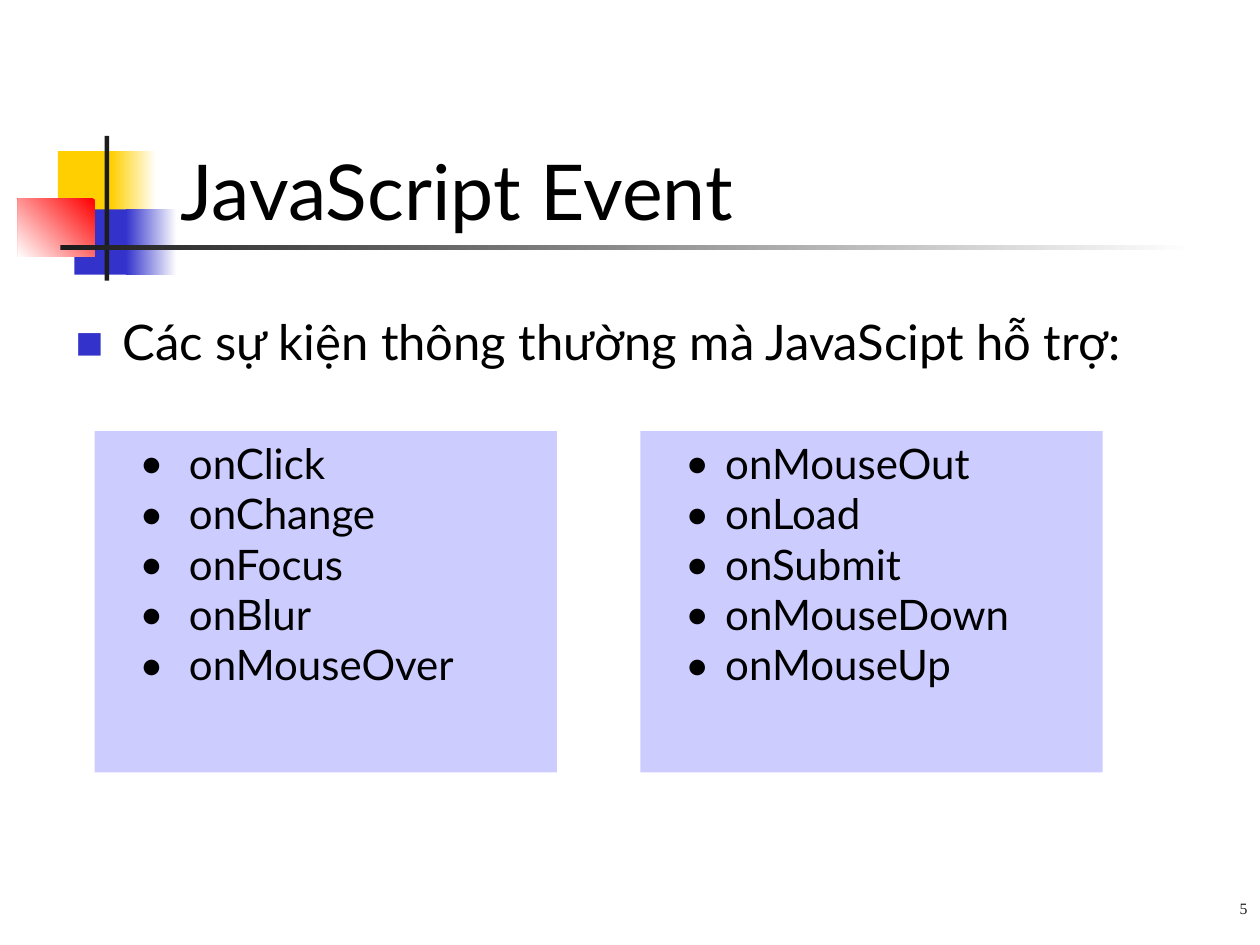
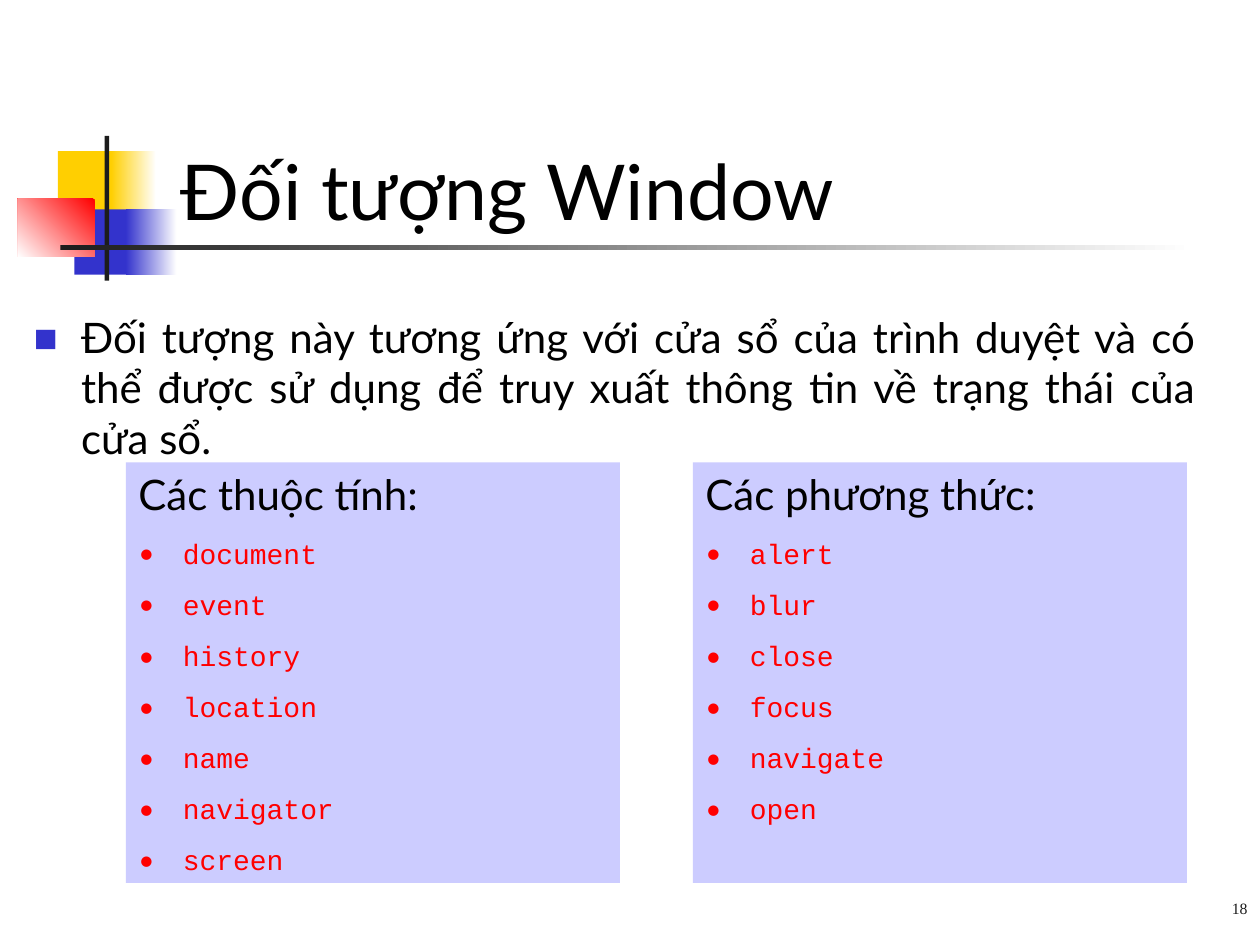
from pptx import Presentation
from pptx.dml.color import RGBColor
from pptx.enum.shapes import MSO_SHAPE
from pptx.enum.text import MSO_ANCHOR, MSO_AUTO_SIZE, PP_ALIGN
from pptx.oxml.ns import qn
from pptx.util import Cm, Pt
from lxml.etree import SubElement

BLACK, DARK, WHITE = "000000", "1C1C1C", "FFFFFF"
YELLOW, BLUE, RED, LAVENDER = "FFCF01", "3333CC", "FF0000", "CCCCFF"
SANS, MONO, SERIF = "Lato", "Courier New", "Times New Roman"


def rgb(color):
    """Turn a hex string into a colour."""
    return RGBColor.from_string(color)


def place(sp, box):
    """Move a shape to a box of left, top, width and height in cm."""
    sp.left, sp.top, sp.width, sp.height = map(Cm, box)


def add_rect(s, box, color, fade=False, angle=0):
    """Add a borderless rectangle, plain or fading to white."""
    sp = s.shapes.add_shape(MSO_SHAPE.RECTANGLE, *map(Cm, box))
    sp.shadow.inherit = False
    sp.line.fill.background()
    if fade:
        sp.fill.gradient()
        sp.fill.gradient_angle = angle
        for stop, shade in zip(sp.fill.gradient_stops, (color, WHITE)):
            stop.color.rgb = rgb(shade)
    else:
        sp.fill.solid()
        sp.fill.fore_color.rgb = rgb(color)
    return sp


def frame(sp, anchor=MSO_ANCHOR.TOP):
    """Prepare the text frame of a shape."""
    tf = sp.text_frame
    tf.word_wrap = True
    tf.auto_size = MSO_AUTO_SIZE.NONE
    tf.vertical_anchor = anchor
    return tf


def set_bullet(p, char, color, percent, text_at, bullet_at):
    """Give a paragraph a bullet with its indents in cm."""
    pPr = p._p.get_or_add_pPr()
    pPr.set("marL", str(Cm(text_at)))
    pPr.set("indent", str(Cm(bullet_at) - Cm(text_at)))
    SubElement(SubElement(pPr, qn("a:buClr")), qn("a:srgbClr"), val=color)
    SubElement(pPr, qn("a:buSzPct"), val=str(percent * 1000))
    SubElement(pPr, qn("a:buFont"), typeface=SANS)
    SubElement(pPr, qn("a:buChar"), char=char)


def write(tf, text, size, font=SANS, color=BLACK, align=PP_ALIGN.LEFT,
          before=0, bullet=None, percent=100, bullet_color=None,
          text_at=0, bullet_at=0):
    """Write one formatted paragraph, using the empty first one if there is."""
    p = tf.paragraphs[0] if not tf.text else tf.add_paragraph()
    p.alignment, p.space_before = align, Pt(before)
    if bullet:
        set_bullet(p, bullet, bullet_color or color, percent, text_at, bullet_at)
    r = p.add_run()
    r.text = text
    r.font.size, r.font.name = Pt(size), font
    r.font.color.rgb = rgb(color)


def add_emblem(s, left=0.36, top=2.74):
    """Draw the coloured squares and the two rules beside the title."""
    for x, y, w, h, color, fade, angle in (
            (0.81, 0.31, 1.22, 1.32, YELLOW, False, 0),
            (1.88, 0.31, 0.91, 1.32, YELLOW, True, 0),
            (1.14, 1.48, 1.17, 1.32, BLUE, False, 0),
            (2.18, 1.48, 1.02, 1.32, BLUE, True, 0),
            (0, 1.27, 1.55, 1.17, RED, True, 225),
            (1.75, 0, 0.09, 2.92, DARK, False, 0),
            (0.86, 2.2, 22.86, 0.1, DARK, True, 0)):
        add_rect(s, (left + x, top + y, w, h), color, fade, angle)


def add_page(prs, title, title_width, number):
    """Add a slide with emblem, title and page number."""
    s = prs.slides.add_slide(prs.slide_layouts[1])
    add_emblem(s)
    place(s.shapes.title, (3.39, 1.7, title_width, 3.18))
    write(frame(s.shapes.title, MSO_ANCHOR.BOTTOM), title, 44)
    sp = s.shapes.add_textbox(*map(Cm, (14.18, 17.36, 11.22, 1.27)))
    write(frame(sp, MSO_ANCHOR.BOTTOM), str(number), 9, font=SERIF, color=DARK,
          align=PP_ALIGN.RIGHT)
    return s


def add_intro(s, box, text, size, before):
    """Fill the body placeholder with one justified bullet."""
    sp = s.placeholders[1]
    place(sp, box)
    write(frame(sp), text, size, align=PP_ALIGN.JUSTIFY, before=before,
          bullet="■", percent=60, bullet_color=BLUE, text_at=0.95)


def add_panels(s, box, gap, columns, **style):
    """Split a box into equal panels of an optional heading and a list."""
    left, top, width, height = box
    w = (width - gap * (len(columns) - 1)) / len(columns)
    for i, (heading, text_at, items) in enumerate(columns):
        sp = add_rect(s, (left + i * (w + gap), top, w, height), LAVENDER)
        tf = frame(sp)
        if heading:
            write(tf, heading, 24)
        for item in items:
            write(tf, item, bullet="•", text_at=text_at, **style)


def add_event_slide(prs):
    """Build the slide that lists the events."""
    s = add_page(prs, "JavaScript Event", 17.35, 5)
    add_intro(s, (1.27, 6.15, 23.7, 1.7),
              "Các sự kiện thông thường mà JavaScipt hỗ trợ:", 28, 7)
    add_panels(s, (1.91, 8.69, 20.32, 6.88), 1.68, (
        (None, 1.65, ("onClick", "onChange", "onFocus", "onBlur", "onMouseOver")),
        (None, 1.46, ("onMouseOut", "onLoad", "onSubmit", "onMouseDown",
                      "onMouseUp"))),
        size=24, bullet_at=0.65)


def add_window_slide(prs):
    """Build the slide about the window object."""
    s = add_page(prs, "Đối tượng Window", 21.16, 18)
    add_intro(s, (0.43, 6.15, 23.92, 12.5),
              "Đối tượng này tương ứng với cửa sổ của trình duyệt và có thể "
              "được sử dụng để truy xuất thông tin về trạng thái của cửa sổ.",
              24, 6)
    add_panels(s, (2.54, 9.32, 21.39, 8.48), 1.47, (
        ("Các thuộc tính:", 0.9, ("document", "event", "history", "location",
                                  "name", "navigator", "screen")),
        ("Các phương thức:", 0.9, ("alert", "blur", "close", "focus",
                                   "navigate", "open"))),
        size=16, font=MONO, color=RED, before=10)


def main():
    """Build and save the presentation."""
    prs = Presentation()
    prs.slide_width, prs.slide_height = Cm(25.4), Cm(19.05)
    add_event_slide(prs)
    add_window_slide(prs)
    prs.save("out.pptx")


if __name__ == "__main__":
    main()
